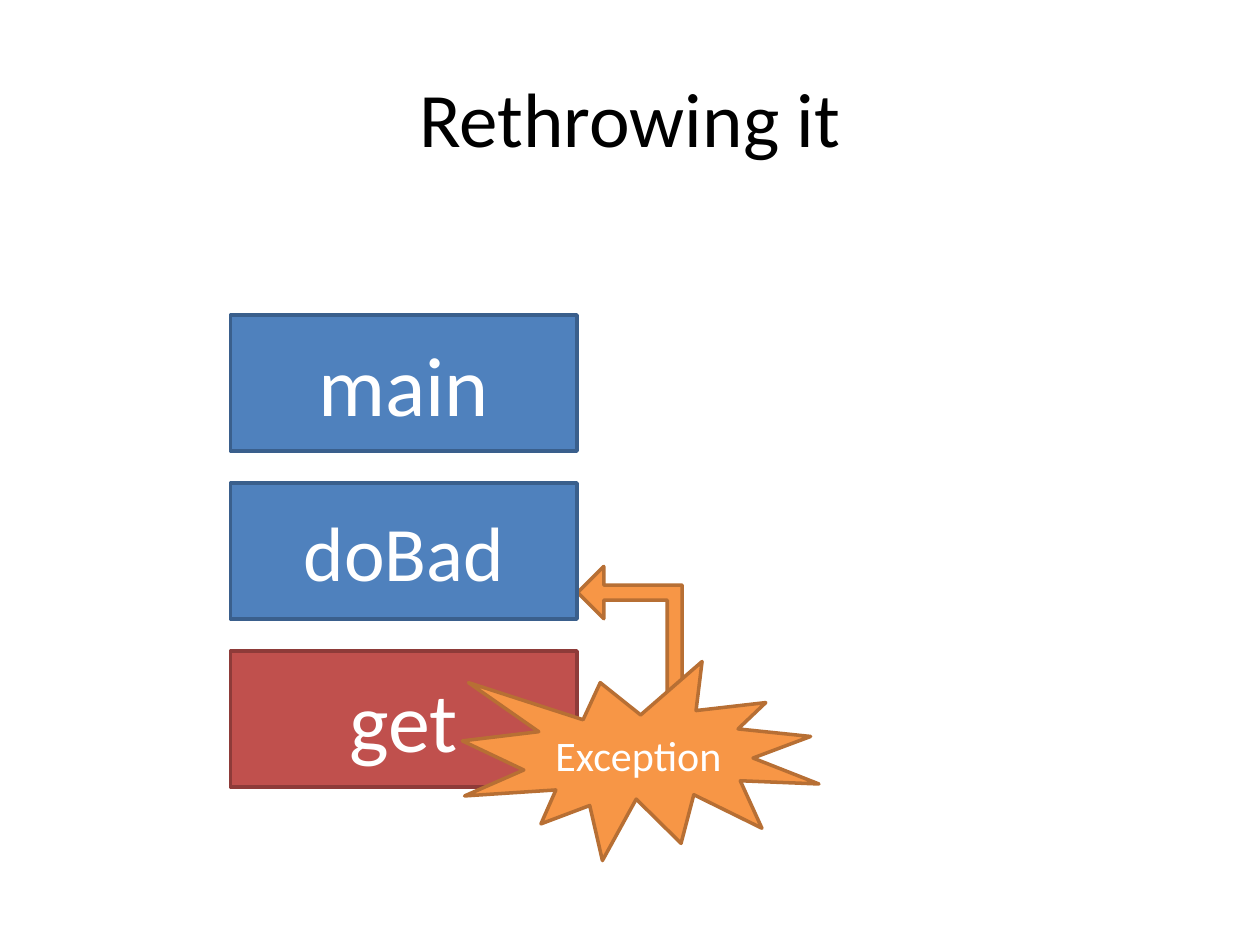
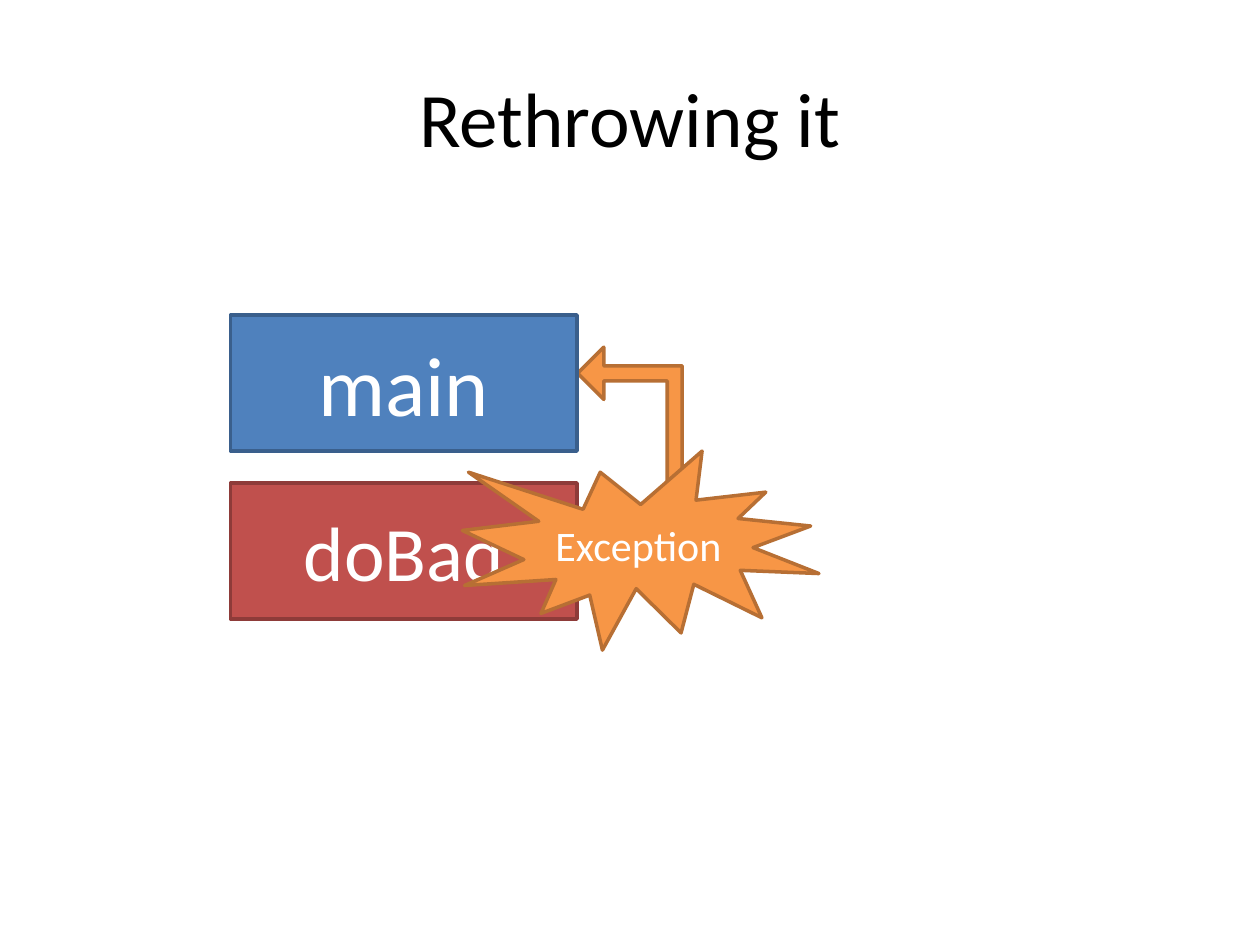
from pptx import Presentation
from pptx import util as u
from pptx.dml.color import RGBColor
from pptx.enum import shapes, text

COLORS = {
    "black": "000000", "white": "FFFFFF",
    "blue": "4F81BD", "blue_line": "3A5F8C",
    "red": "C0504D", "red_line": "8E3B39",
    "orange": "F79646", "orange_line": "B76F34",
}
FONT = "Calibri"


def write(shape, words, size, color="white"):
    """Put one centred line of formatted text in the middle of a shape."""
    frame = shape.text_frame
    frame.word_wrap = True
    frame.vertical_anchor = text.MSO_ANCHOR.MIDDLE
    paragraph = frame.paragraphs[0]
    paragraph.alignment = text.PP_ALIGN.CENTER
    run = paragraph.add_run()
    run.text = words
    run.font.name = FONT
    run.font.size = u.Pt(size)
    run.font.color.rgb = RGBColor.from_string(COLORS[color])


class CallStackDeck:
    """Holds the presentation, its style and the current slide."""

    box_left, box_width, box_height = 1.83, 2.75, 1.08
    stack_top, stack_step = 2.5, 1.333

    def __init__(self):
        self.presentation = Presentation()
        self.presentation.slide_width = u.Inches(10)
        self.presentation.slide_height = u.Inches(7.5)
        self.slide = None

    def add_slide(self):
        layout = self.presentation.slide_layouts[6]
        self.slide = self.presentation.slides.add_slide(layout)

    def title(self, words):
        box = self.slide.shapes.add_textbox(
            u.Inches(0.5), u.Inches(0.3), u.Inches(9), u.Inches(1.25))
        write(box, words, size=44, color="black")

    def shape(self, kind, left, top, width, height, color):
        shape = self.slide.shapes.add_shape(
            kind, u.Inches(left), u.Inches(top), u.Inches(width), u.Inches(height))
        shape.shadow.inherit = False
        shape.fill.solid()
        shape.fill.fore_color.rgb = RGBColor.from_string(COLORS[color])
        shape.line.color.rgb = RGBColor.from_string(COLORS[color + "_line"])
        shape.line.width = u.Pt(2)
        return shape

    def arrow(self, top):
        arrow = self.shape(shapes.MSO_SHAPE.BENT_UP_ARROW, 4.46, top, 1.08, 0.83, "orange")
        arrow.rotation = 270
        arrow.adjustments[0] = 0.143

    def call(self, level, name, size, color):
        top = self.stack_top + level * self.stack_step
        box = self.shape(shapes.MSO_SHAPE.RECTANGLE, self.box_left, top,
                         self.box_width, self.box_height, color)
        write(box, name, size=size)

    def burst(self, top):
        burst = self.shape(shapes.MSO_SHAPE.EXPLOSION1, 3.67, top, 2.83, 1.58, "orange")
        write(burst, "Exception", size=24)

    def stack_slide(self, calls, arrow_top, burst_top):
        self.add_slide()
        self.arrow(arrow_top)
        self.title("Rethrowing it")
        failing = len(calls) - 1
        for level, (name, size) in reversed(list(enumerate(calls))):
            self.call(level, name, size, "red" if level == failing else "blue")
        self.burst(burst_top)


CALLS = [("main", 48), ("doBad", 44), ("get", 48)]

deck = CallStackDeck()
deck.stack_slide(CALLS, arrow_top=4.62, burst_top=5.25)
deck.stack_slide(CALLS[:2], arrow_top=2.88, burst_top=3.58)
deck.presentation.save("out.pptx")
